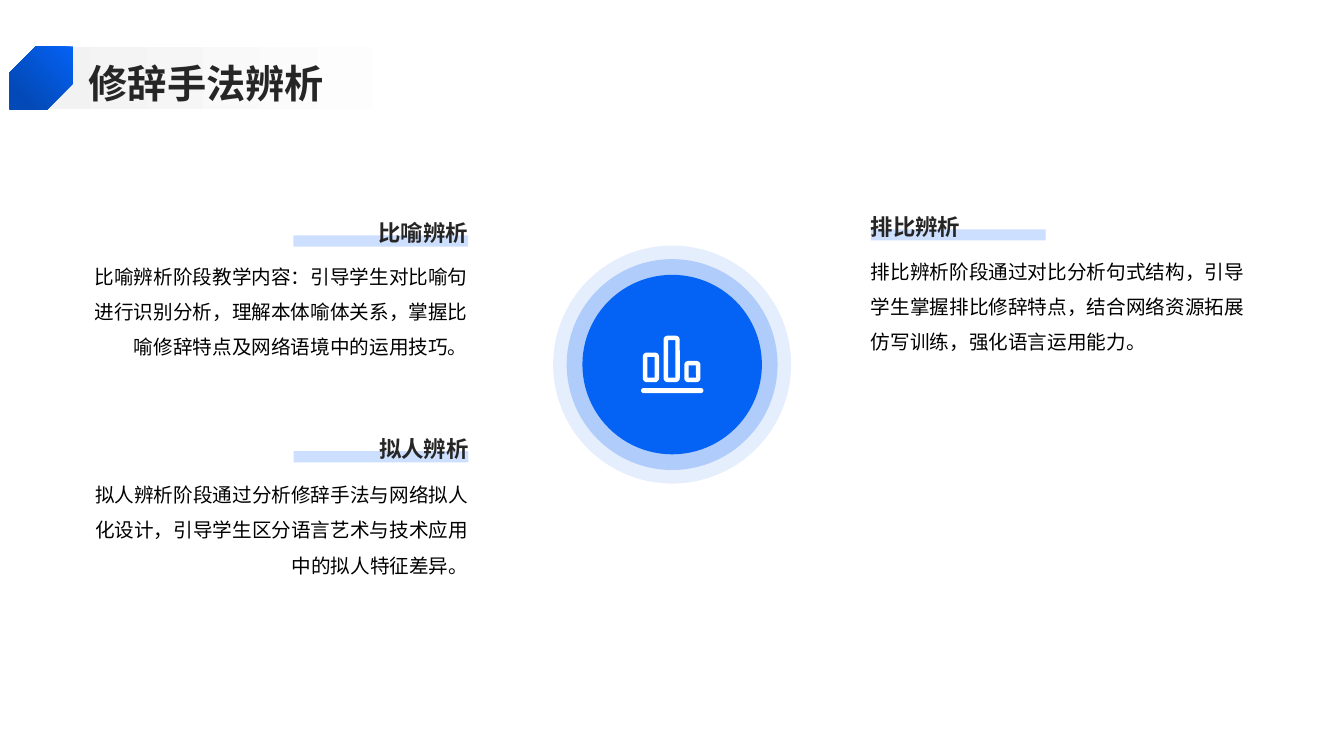
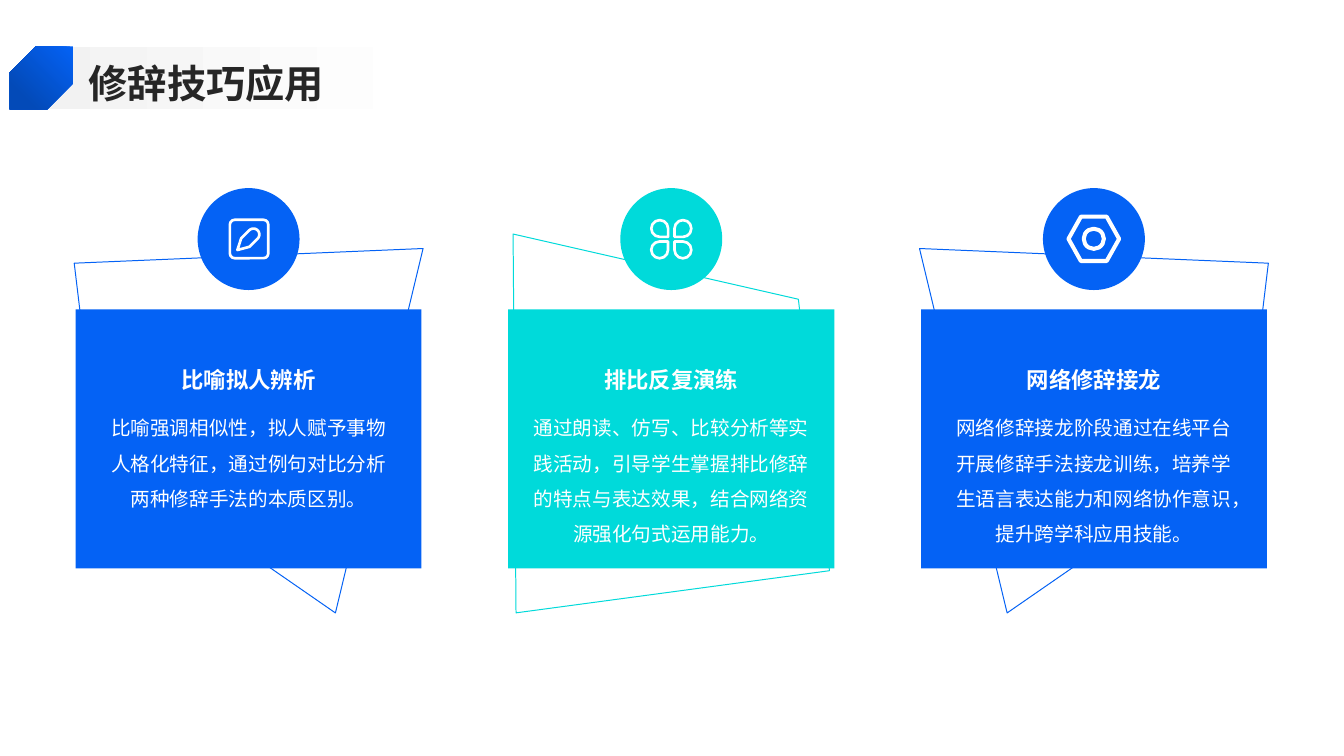
import math
from dataclasses import dataclass

from lxml import etree
from pptx import Presentation
from pptx import util as u
from pptx.dml import color
from pptx.enum import shapes, text
from pptx.oxml import ns

# Shared style
FONT = "Noto Sans CJK SC"
BLUE, DEEP_BLUE, PALE_BLUE = "0462F5", "034AB8", "CCDFFE"
CYAN, WHITE, GREY, DARK, BLACK = "00DADA", "FFFFFF", "F2F2F2", "262626", "000000"
KIND = shapes.MSO_SHAPE
ALIGN = text.PP_ALIGN
ANCHOR = text.MSO_ANCHOR

Box = tuple[float, float, float, float]
Points = list[tuple[float, float]]


@dataclass
class Note:
    heading: str
    body: str
    left: float
    heading_top: float
    body_top: float
    align: ALIGN


@dataclass
class Card:
    heading: str
    body: str
    fill: str
    width: float
    frame: Points  # x is measured from the card's centre


# Drawing helpers
def rgb(value: str) -> color.RGBColor:
    return color.RGBColor.from_string(value)


def paint(shape, fill: str | None = None, line: str | None = None,
          weight: float = 1, opacity: int = 100) -> None:
    shape.shadow.inherit = False
    if fill:
        shape.fill.solid()
        shape.fill.fore_color.rgb = rgb(fill)
        if opacity < 100:
            source = shape.fill._xPr.find(".//" + ns.qn("a:srgbClr"))
            etree.SubElement(source, ns.qn("a:alpha"), val=str(opacity * 1000))
    else:
        shape.fill.background()
    if line:
        shape.line.color.rgb = rgb(line)
        shape.line.width = u.Pt(weight)
    else:
        shape.line.fill.background()


def add_preset(slide, kind: KIND, box: Box, adjust: tuple = (),
               rotation: float = 0, **style):
    shape = slide.shapes.add_shape(kind, *map(u.Pt, box))
    for index, value in enumerate(adjust):
        shape.adjustments[index] = value
    shape.rotation = rotation
    paint(shape, **style)
    return shape


def add_polygon(slide, points: Points, **style) -> None:
    corners = [(u.Pt(x), u.Pt(y)) for x, y in points]
    builder = slide.shapes.build_freeform(*corners[0])
    builder.add_line_segments(corners[1:], close=True)
    paint(builder.convert_to_shape(), **style)


def add_gradient(shape, start: str, end: str, angle: float) -> None:
    shape.fill.gradient()
    shape.fill.gradient_angle = angle
    for stop, value, position in zip(shape.fill.gradient_stops, (start, end), (0, 0.8)):
        stop.color.rgb = rgb(value)
        stop.position = position


def add_text(slide, content: str, box: Box, size: float = 14, fill: str = BLACK,
             bold: bool = False, align: ALIGN = ALIGN.LEFT,
             anchor: ANCHOR = ANCHOR.TOP, spacing: float = 1.5) -> None:
    frame = slide.shapes.add_textbox(*map(u.Pt, box)).text_frame
    frame.word_wrap = True
    frame.vertical_anchor = anchor
    frame.margin_left = frame.margin_right = frame.margin_top = frame.margin_bottom = 0
    paragraph = frame.paragraphs[0]
    paragraph.alignment = align
    paragraph.line_spacing = spacing
    run = paragraph.add_run()
    run.text = content
    run.font.size = u.Pt(size)
    run.font.bold = bold
    run.font.color.rgb = rgb(fill)
    run.font.name = FONT
    etree.SubElement(run.font._element, ns.qn("a:ea"), typeface=FONT)


def add_title(slide, title: str) -> None:
    band = add_preset(slide, KIND.RECTANGLE, (23.8, 33.4, 354.2, 44.6))
    add_gradient(band, GREY, WHITE, 0)
    add_text(slide, title, (63.4, 38.9, 855.4, 36.7), size=28, fill=DARK, bold=True,
             anchor=ANCHOR.MIDDLE, spacing=1.1)
    badge = add_preset(slide, KIND.SNIP_2_DIAG_RECTANGLE, (7, 33.2, 45, 45), (0.41, 0))
    add_gradient(badge, BLUE, DEEP_BLUE, 225)


# Icons
def draw_chart_icon(slide) -> None:
    bottom = 271.4
    for index, height in enumerate((18, 30, 12)):
        add_preset(slide, KIND.ROUNDED_RECTANGLE,
                   (460.8 + index * 14.8, bottom - height, 8.4, height),
                   (0.16,), line=WHITE, weight=3.2)
    add_preset(slide, KIND.ROUNDED_RECTANGLE, (457.9, 277.2, 44.6, 3.6), (0.5,), fill=WHITE)


def draw_pencil_icon(slide) -> None:
    pen = {"line": WHITE, "weight": 1.9}
    add_preset(slide, KIND.ROUNDED_RECTANGLE, (164.2, 157, 27.4, 27.4), (0.12,), **pen)
    arc = [(181.1 + 4.2 * math.cos(math.radians(angle)),
            167.5 + 4.2 * math.sin(math.radians(angle))) for angle in range(-135, 46, 15)]
    add_polygon(slide, arc + [(178.3, 176.3), (169.6, 178.6), (172.3, 170.3)], **pen)


def draw_clover_icon(slide) -> None:
    petals = ((0, 0, 90), (1, 0, 180), (0, 1, 0), (1, 1, 270))
    for column, row, rotation in petals:
        add_preset(slide, KIND.TEAR, (465.2 + column * 16.6, 157.2 + row * 15.3, 12, 12),
                   rotation=rotation, line=WHITE, weight=1.9)


def draw_nut_icon(slide) -> None:
    pen = {"line": WHITE, "weight": 2.9}
    add_preset(slide, KIND.HEXAGON, (763.2, 154.8, 36.2, 31.7), (0.28,), **pen)
    add_preset(slide, KIND.OVAL, (774.1, 163.4, 14.4, 14.4), **pen)


# Slide 1: three notes around a ringed icon
NOTES = [
    Note("比喻辨析", "比喻辨析阶段教学内容：引导学生对比喻句进行识别分析，理解本体喻体关系，"
         "掌握比喻修辞特点及网络语境中的运用技巧。", 65, 141.8, 180.7, ALIGN.RIGHT),
    Note("拟人辨析", "拟人辨析阶段通过分析修辞手法与网络拟人化设计，引导学生区分语言艺术与"
         "技术应用中的拟人特征差异。", 65.3, 295.9, 336.5, ALIGN.RIGHT),
    Note("排比辨析", "排比辨析阶段通过对比分析句式结构，引导学生掌握排比修辞特点，结合网络资源"
         "拓展仿写训练，强化语言运用能力。", 622.1, 137.5, 177.1, ALIGN.LEFT),
]
NOTE_WIDTH, BAR_WIDTH = 269.3, 124.8


def draw_note(slide, note: Note) -> None:
    offset = NOTE_WIDTH - BAR_WIDTH if note.align == ALIGN.RIGHT else 0
    add_preset(slide, KIND.RECTANGLE,
               (note.left + offset, note.heading_top + 26.4, BAR_WIDTH, 7.9), fill=PALE_BLUE)
    add_text(slide, note.heading, (note.left, note.heading_top, NOTE_WIDTH, 33.8), size=16,
             fill=DARK, bold=True, align=note.align, anchor=ANCHOR.BOTTOM)
    add_text(slide, note.body, (note.left, note.body_top, NOTE_WIDTH, 108.7), align=note.align)


def build_analysis(slide) -> None:
    for note in NOTES:
        draw_note(slide, note)
    for size, opacity in ((170, 10), (150.6, 24), (128.2, 100)):
        add_preset(slide, KIND.OVAL, (480.1 - size / 2, 260.4 - size / 2, size, size),
                   fill=BLUE, opacity=opacity)
    draw_chart_icon(slide)
    add_title(slide, "修辞手法辨析")


# Slide 2: three cards over angular frames
SIDE_FRAME = [(62, 437.8), (-108.7, 319.7), (-124.6, 188), (124.6, 177.5)]
CARDS = [
    Card("比喻拟人辨析", "比喻强调相似性，拟人赋予事物人格化特征，通过例句对比分析两种修辞手法的"
         "本质区别。", BLUE, 247, SIDE_FRAME),
    Card("排比反复演练", "通过朗读、仿写、比较分析等实践活动，引导学生掌握排比修辞的特点与表达效果，"
         "结合网络资源强化句式运用能力。", CYAN, 233,
         [(113, 407.7), (-110.9, 437.8), (-113, 167.2), (90.8, 213.8)]),
    Card("网络修辞接龙", "网络修辞接龙阶段通过在线平台开展修辞手法接龙训练，培养学生语言表达能力和"
         "网络协作意识，提升跨学科应用技能。", BLUE, 247, [(-x, y) for x, y in SIDE_FRAME]),
]
FIRST_CENTRE, CARD_PITCH = 177.6, 301.9
CARD_TEXT_WIDTH, CIRCLE = 203.8, 72.8


def draw_card(slide, card: Card, centre: float) -> None:
    add_polygon(slide, [(centre + x, y) for x, y in card.frame], line=card.fill, weight=0.7)
    add_preset(slide, KIND.RECTANGLE, (centre - card.width / 2, 221, card.width, 185),
               fill=card.fill)
    add_preset(slide, KIND.OVAL, (centre - CIRCLE / 2, 134.4, CIRCLE, CIRCLE), fill=card.fill)
    left = centre - CARD_TEXT_WIDTH / 2
    add_text(slide, card.heading, (left, 229, CARD_TEXT_WIDTH, 51.8), size=16, fill=WHITE,
             bold=True, align=ALIGN.CENTER, anchor=ANCHOR.BOTTOM, spacing=1.3)
    add_text(slide, card.body, (left, 289, CARD_TEXT_WIDTH, 107.3), fill=WHITE,
             align=ALIGN.CENTER)


def build_application(slide) -> None:
    for index, card in enumerate(CARDS):
        draw_card(slide, card, FIRST_CENTRE + index * CARD_PITCH)
    draw_pencil_icon(slide)
    draw_clover_icon(slide)
    draw_nut_icon(slide)
    add_title(slide, "修辞技巧应用")


def main() -> None:
    presentation = Presentation()
    presentation.slide_width, presentation.slide_height = u.Pt(960), u.Pt(540)
    for build in (build_analysis, build_application):
        build(presentation.slides.add_slide(presentation.slide_layouts[6]))
    presentation.save("out.pptx")


if __name__ == "__main__":
    main()
